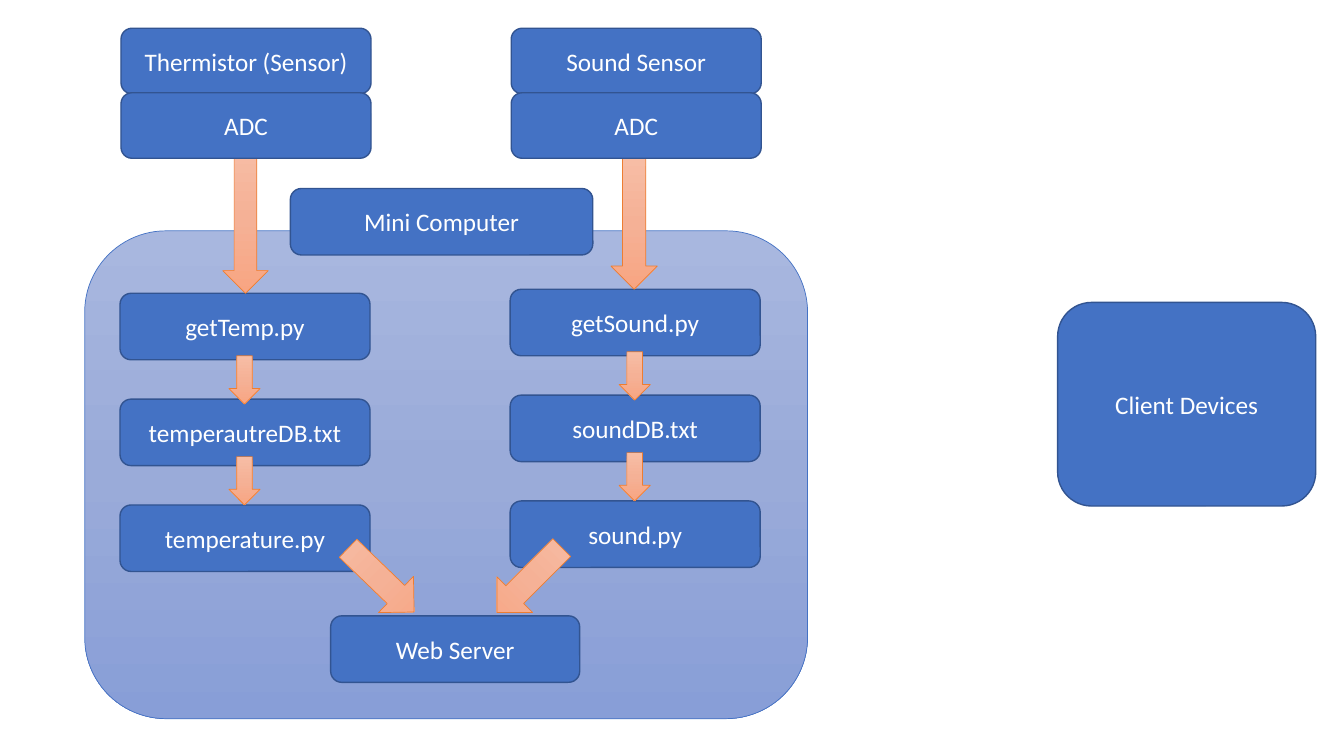
"""Build the sensor data flow slide."""
from copy import deepcopy
from dataclasses import dataclass

from pptx import Presentation
from pptx.dml.color import RGBColor
from pptx.enum.shapes import MSO_SHAPE
from pptx.enum.text import MSO_ANCHOR, PP_ALIGN
from pptx.oxml.ns import qn
from pptx.shapes.autoshape import Shape
from pptx.slide import Slide
from pptx.util import Emu, Pt

EMU_PER_PX = 9144
BLUE, DARK_BLUE, ORANGE, WHITE = "4472C4", "325491", "ED7D31", "FFFFFF"
BLUE_GRADIENT = ("A8B7DF", "9AABD9", "889ED7")
ORANGE_GRADIENT = ("F7BDA5", "F5B196", "F8A582")
FILE_PITCH, STEP_PITCH = 105, 100


@dataclass(frozen=True)
class Area:
    left: int
    top: int
    width: int
    height: int


@dataclass(frozen=True)
class SensorColumn:
    left: int
    first_file_top: int
    sensor: str
    files: tuple[str, str, str]
    feed_arrow: Area
    server_arrow: Area
    server_rotation: int


PI_ZONE = Area(84, 229, 717, 484)
SINGLE_BOXES = (
    ("Mini Computer", Area(288, 187, 300, 66)),
    ("Web Server", Area(328, 611, 247, 66)),
    ("Client Devices", Area(1049, 300, 256, 202)),
)
COLUMNS = (
    SensorColumn(119, 291, "Thermistor (Sensor)",
                 ("getTemp.py", "temperautreDB.txt", "temperature.py"),
                 Area(221, 144, 45, 147), Area(353, 530, 50, 91), 314),
    SensorColumn(506, 287, "Sound Sensor",
                 ("getSound.py", "soundDB.txt", "sound.py"),
                 Area(606, 157, 46, 130), Area(500, 530, 50, 91), 45),
)


def px(length: int) -> Emu:
    """Convert px to EMU."""
    return Emu(length * EMU_PER_PX)


def color(value: str) -> RGBColor:
    """Convert a hex string to a colour."""
    return RGBColor.from_string(value)


def add_outlined(slide: Slide, kind: MSO_SHAPE, area: Area, line: str, weight: float) -> Shape:
    """Add a preset shape with an outline and no shadow."""
    shape = slide.shapes.add_shape(
        kind, px(area.left), px(area.top), px(area.width), px(area.height))
    shape.shadow.inherit = False
    shape.line.color.rgb = color(line)
    shape.line.width = Pt(weight)
    return shape


def fill_gradient(shape: Shape, colors: tuple[str, str, str]) -> None:
    """Fill a shape with a three-stop gradient from top to bottom."""
    shape.fill.gradient()
    shape.fill.gradient_angle = 270
    first_stop = shape.element.spPr.find(f".//{qn('a:gs')}")
    first_stop.addnext(deepcopy(first_stop))
    for stop, position, value in zip(shape.fill.gradient_stops, (0, 0.5, 1), colors):
        stop.position = position
        stop.color.rgb = color(value)


def add_box(slide: Slide, label: str, area: Area) -> None:
    """Add a labelled blue box."""
    shape = add_outlined(slide, MSO_SHAPE.ROUNDED_RECTANGLE, area, DARK_BLUE, 1)
    shape.fill.solid()
    shape.fill.fore_color.rgb = color(BLUE)
    frame = shape.text_frame
    frame.word_wrap = True
    frame.vertical_anchor = MSO_ANCHOR.MIDDLE
    paragraph = frame.paragraphs[0]
    paragraph.alignment = PP_ALIGN.CENTER
    run = paragraph.add_run()
    run.text = label
    run.font.name = "Calibri"
    run.font.size = Pt(18)
    run.font.color.rgb = color(WHITE)


def add_arrow(slide: Slide, area: Area, rotation: int = 0) -> None:
    """Add an orange block arrow."""
    shape = add_outlined(slide, MSO_SHAPE.DOWN_ARROW, area, ORANGE, 0.5)
    fill_gradient(shape, ORANGE_GRADIENT)
    shape.rotation = rotation


def add_column(slide: Slide, column: SensorColumn) -> None:
    """Add one sensor with its files and arrows."""
    for index, name in enumerate(column.files):
        top = column.first_file_top + index * FILE_PITCH
        add_box(slide, name, Area(column.left, top, 248, 66))
    add_arrow(slide, column.feed_arrow)
    for index in range(len(column.files) - 1):
        top = column.first_file_top + 62 + index * STEP_PITCH
        add_arrow(slide, Area(column.left + 108, top, 31, 48))
    add_arrow(slide, column.server_arrow, column.server_rotation)
    for label, top in ((column.sensor, 28), ("ADC", 92)):
        add_box(slide, label, Area(column.left + 1, top, 248, 65))


def main() -> None:
    """Build and save the presentation."""
    presentation = Presentation()
    presentation.slide_width = px(1333)
    presentation.slide_height = px(750)
    slide = presentation.slides.add_slide(presentation.slide_layouts[6])
    zone = add_outlined(slide, MSO_SHAPE.ROUNDED_RECTANGLE, PI_ZONE, BLUE, 0.5)
    fill_gradient(zone, BLUE_GRADIENT)
    for label, area in SINGLE_BOXES:
        add_box(slide, label, area)
    for column in COLUMNS:
        add_column(slide, column)
    presentation.save("out.pptx")


if __name__ == "__main__":
    main()
